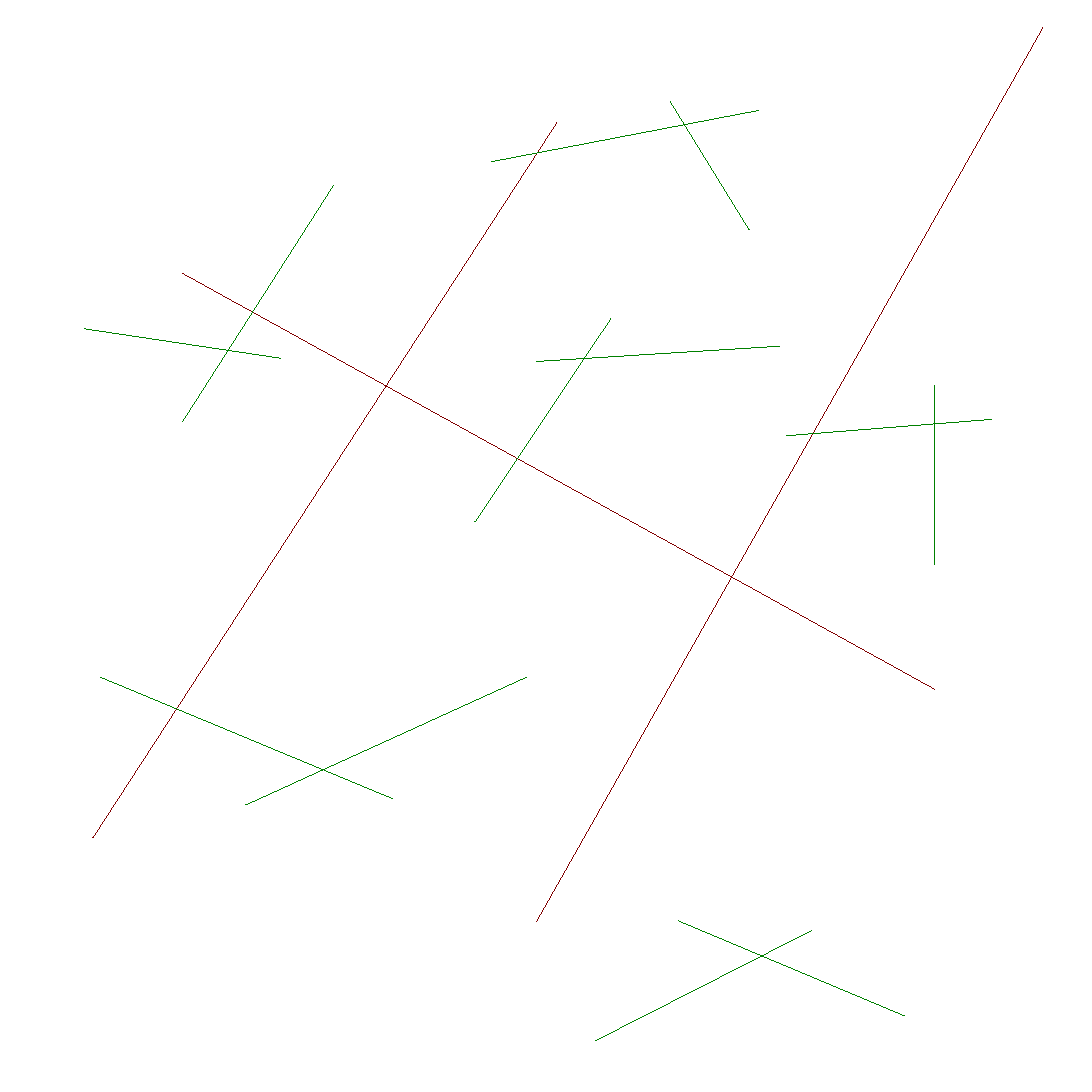
from lxml.etree import SubElement
from pptx import Presentation
from pptx.dml.color import RGBColor
from pptx.enum.shapes import MSO_CONNECTOR
from pptx.oxml.ns import qn
from pptx.util import Cm

# Content: line ends in cm (x1, y1, x2, y2), grouped by colour
SIZE = 10
RED, GREEN = "800000", "008000"
LINES = {
    RED: [
        (1.67, 2.5, 8.56, 6.31),
        (0.85, 7.67, 5.1, 1.12),
        (4.91, 8.44, 9.55, 0.25),
    ],
    GREEN: [
        (0.92, 6.2, 3.59, 7.31),
        (2.25, 7.37, 4.82, 6.2),
        (5.59, 2.92, 4.35, 4.78),
        (4.91, 3.31, 7.14, 3.17),
        (3.05, 1.7, 1.67, 3.86),
        (2.57, 3.28, 0.77, 3.01),
        (7.43, 8.52, 5.45, 9.53),
        (6.21, 8.43, 8.28, 9.3),
        (7.2, 3.99, 9.08, 3.84),
        (8.56, 3.53, 8.56, 5.17),
        (4.5, 1.48, 6.95, 1.01),
        (6.14, 0.93, 6.86, 2.1),
    ],
}


def draw(slide, ends, color):
    line = slide.shapes.add_connector(MSO_CONNECTOR.STRAIGHT, *map(Cm, ends))
    line.line.color.rgb = RGBColor.from_string(color)
    # Hairline: a width of zero has to be written out
    line.get_or_add_ln().set("w", "0")
    # No shadow
    SubElement(line._element.spPr, qn("a:effectLst"))


def main():
    deck = Presentation()
    deck.slide_width = deck.slide_height = Cm(SIZE)
    slide = deck.slides.add_slide(deck.slide_layouts[6])

    # Red lines first, green ones on top
    for color, group in LINES.items():
        for ends in group:
            draw(slide, ends, color)

    deck.save("out.pptx")


if __name__ == "__main__":
    main()
